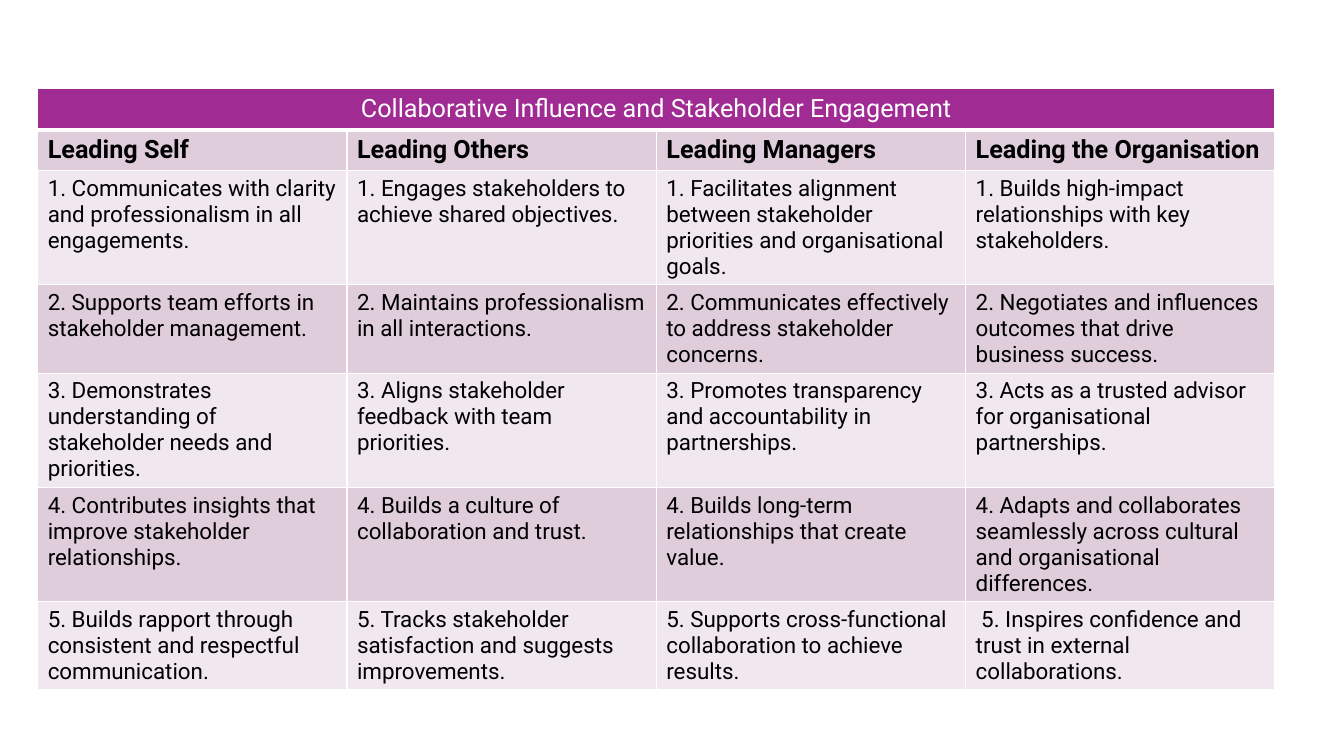
"""Build the stakeholder engagement competency table slide."""
from lxml.etree import SubElement as Sub
from pptx import Presentation as Deck
from pptx.dml.color import RGBColor as Rgb
from pptx.enum.text import PP_ALIGN as Align
from pptx.oxml.ns import qn
from pptx.util import Cm, Pt

TITLE = "Collaborative Influence and Stakeholder Engagement"
HEADS = ["Leading Self", "Leading Others", "Leading Managers", "Leading the Organisation"]
ROWS = [
    ["1. Communicates with clarity and professionalism in all engagements.",
     "1. Engages stakeholders to achieve shared objectives.",
     "1. Facilitates alignment between stakeholder priorities and organisational goals.",
     "1. Builds high-impact relationships with key stakeholders."],
    ["2. Supports team efforts in stakeholder management.",
     "2. Maintains professionalism in all interactions.",
     "2. Communicates effectively to address stakeholder concerns.",
     "2. Negotiates and influences outcomes that drive business success."],
    ["3. Demonstrates understanding of stakeholder needs and priorities.",
     "3. Aligns stakeholder feedback with team priorities.",
     "3. Promotes transparency and accountability in partnerships.",
     "3. Acts as a trusted advisor for organisational partnerships."],
    ["4. Contributes insights that improve stakeholder relationships.",
     "4. Builds a culture of collaboration and trust.",
     "4. Builds long-term relationships that create value.",
     "4. Adapts and collaborates seamlessly across cultural and organisational differences."],
    ["5. Builds rapport through consistent and respectful communication.",
     "5. Tracks stakeholder satisfaction and suggests improvements.",
     "5. Supports cross-functional collaboration to achieve results.",
     " 5. Inspires confidence and trust in external collaborations."],
]
THEME = {
    "font": "Roboto", "line": "FFFFFF", "thin": 1, "thick": 3,
    "title": {"fill": "A02B93", "ink": "FFFFFF", "size": 18, "bold": False},
    "head": {"ink": "000000", "size": 18, "bold": True},
    "body": {"ink": "000000", "size": 16, "bold": False},
    "bands": ["F0E8EE", "DFCDDC"],
}
BOX = {"left": Cm(0.95), "top": Cm(2.24), "width": Cm(31.18), "height": Cm(14.83)}
ROW_H = Cm(1.03)


def edge(cell, low):
    """Draw the four borders of a cell."""
    props = cell._tc.get_or_add_tcPr()
    for side in "LRTB":
        width = Pt(low if side == "B" else THEME["thin"])
        line = Sub(props, qn(f"a:ln{side}"), w=str(width))
        Sub(Sub(line, qn("a:solidFill")), qn("a:srgbClr"), val=THEME["line"])


def paint(cell, text, look, fill, low):
    """Fill a cell and set its text."""
    edge(cell, low)
    cell.fill.solid()
    cell.fill.fore_color.rgb = Rgb.from_string(fill)
    if not text:
        return
    run = cell.text_frame.paragraphs[0].add_run()
    run.text = text
    form = {"name": THEME["font"], "size": Pt(look["size"]), "bold": look["bold"]}
    for key, val in form.items():
        setattr(run.font, key, val)
    run.font.color.rgb = Rgb.from_string(look["ink"])


def main():
    """Lay out the table and save the deck."""
    deck = Deck()
    deck.slide_width, deck.slide_height = Cm(33.87), Cm(19.05)
    slide = deck.slides.add_slide(deck.slide_layouts[6])
    grid = [[TITLE] + [""] * (len(HEADS) - 1), HEADS, *ROWS]
    frame = slide.shapes.add_table(len(grid), len(HEADS), *BOX.values())
    table = frame.table
    for row, texts in enumerate(grid):
        table.rows[row].height = ROW_H
        look = THEME[["title", "head", "body"][min(row, 2)]]
        fill = look.get("fill", THEME["bands"][row % 2])
        low = THEME["thin" if row else "thick"]
        for col, text in enumerate(texts):
            paint(table.cell(row, col), text, look, fill, low)
    top = table.cell(0, 0)
    top.merge(table.cell(0, len(HEADS) - 1))
    top.text_frame.paragraphs[0].alignment = Align.CENTER
    frame.height = BOX["height"]
    deck.save("out.pptx")


if __name__ == "__main__":
    main()
